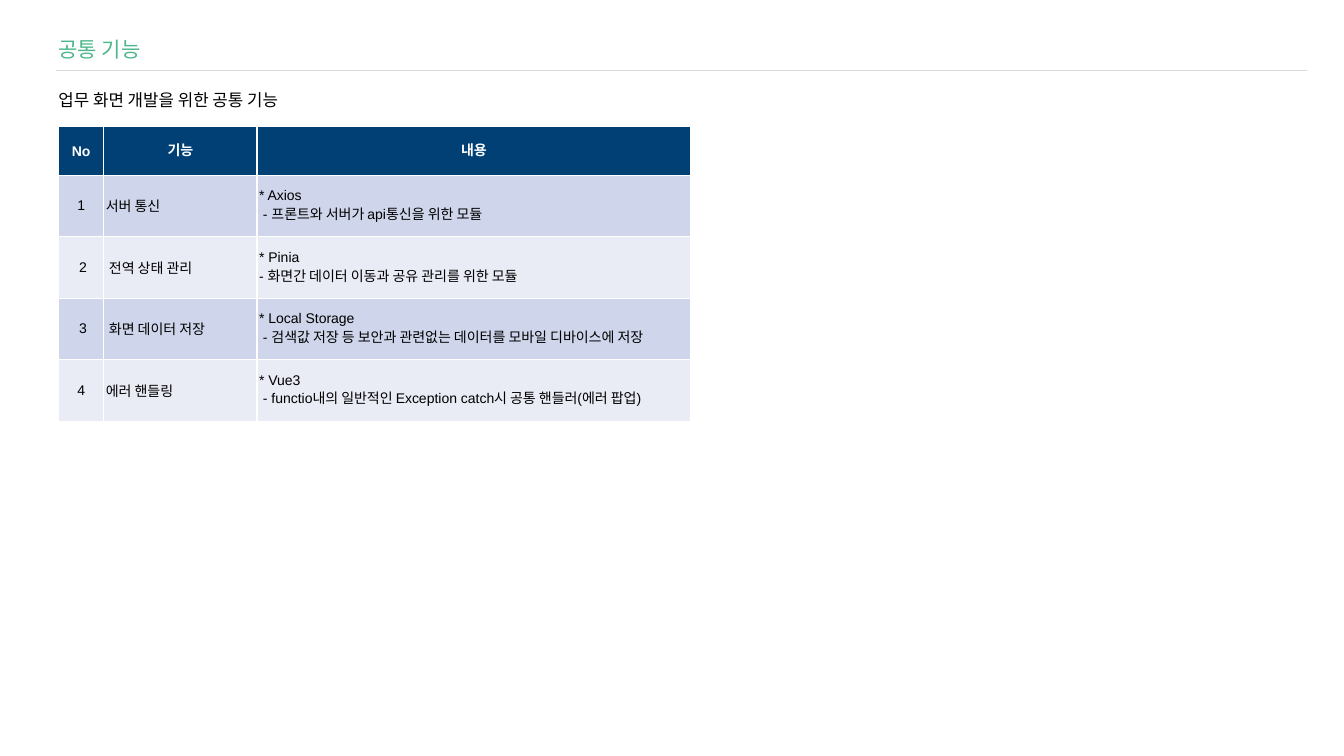
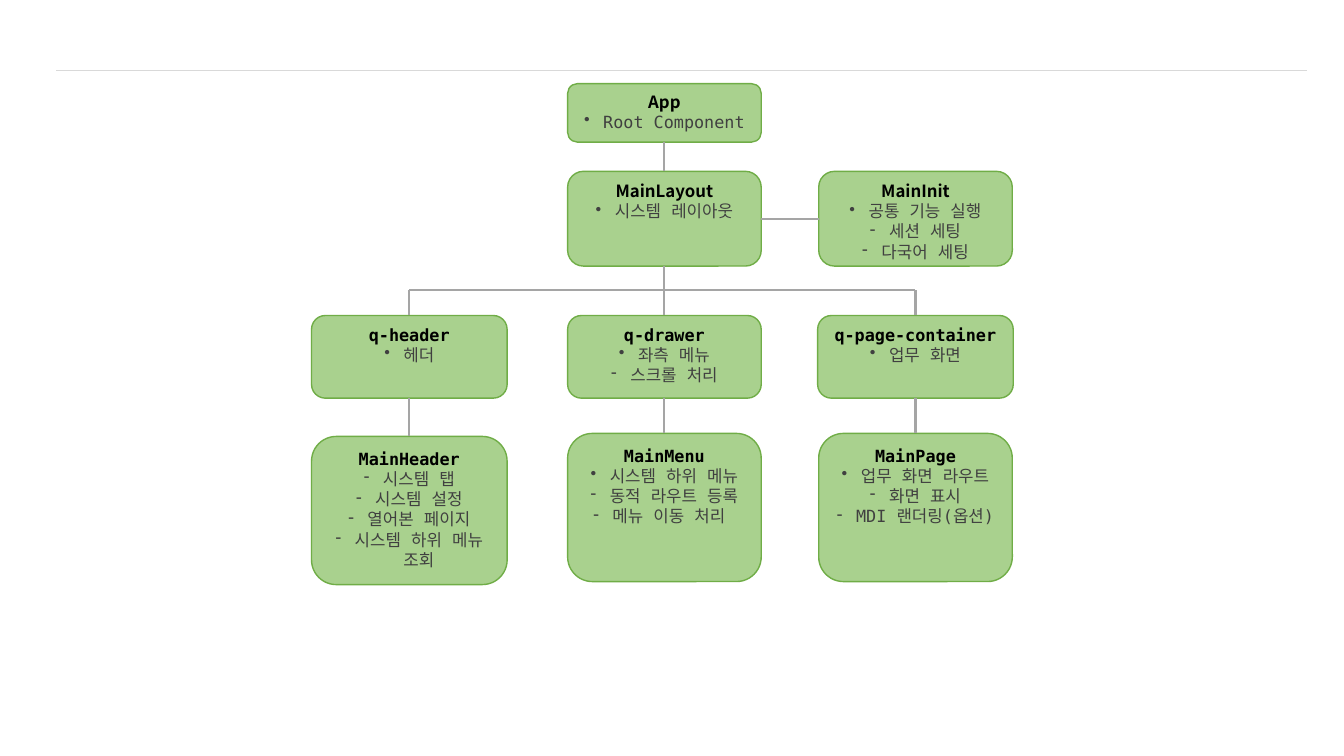
from pptx import Presentation
from pptx.dml.color import RGBColor
from pptx.enum.shapes import MSO_CONNECTOR, MSO_SHAPE
from pptx.enum.text import MSO_ANCHOR, MSO_AUTO_SIZE, PP_ALIGN
from pptx.oxml.ns import qn
from pptx.util import Inches, Pt
from lxml.etree import SubElement

SANS, KOREAN, MONO = "Arial", "Noto Sans CJK KR", "DejaVu Sans Mono"
BLACK, WHITE, GRAY = "000000", "FFFFFF", "404040"
GREEN, NAVY, RULE, LINK = "4CB78A", "004074", "D9D9D9", "A5A5A5"
BOX_FILL, BOX_LINE = "A9D18E", "70AD47"
BANDS = ["CFD5EA", "E9EBF5"]


def add_run(paragraph, text, size, color, font, bold=False):
    run = paragraph.add_run()
    run.text = text
    run.font.size = Pt(size)
    run.font.bold = bold
    run.font.name = font
    run.font.color.rgb = RGBColor.from_string(color)
    east_asian = SubElement(run.font._element, qn("a:ea"))
    east_asian.set("typeface", KOREAN if font == SANS else font)


def add_line(slide, x1, y1, x2, y2, color, width):
    line = slide.shapes.add_connector(
        MSO_CONNECTOR.STRAIGHT, Inches(x1), Inches(y1), Inches(x2), Inches(y2))
    line.line.color.rgb = RGBColor.from_string(color)
    line.line.width = Pt(width)
    SubElement(line._element.spPr, qn("a:effectLst"))


deck = Presentation()
deck.slide_width, deck.slide_height = Inches(13.33), Inches(7.5)
features, components = [deck.slides.add_slide(deck.slide_layouts[6]) for _ in range(2)]
for slide in (features, components):
    add_line(slide, 0.56, 0.7, 12.96, 0.7, RULE, 0.5)

headings = [
    ("공통 기능", 0.36, 0.92, 0.25, 15, GREEN),
    ("업무 화면 개발을 위한 공통 기능", 0.89, 2.49, 0.2, 12, BLACK),
]
for text, top, width, height, size, color in headings:
    heading = features.shapes.add_textbox(
        Inches(0.58), Inches(top), Inches(width), Inches(height)).text_frame
    heading.margin_left = heading.margin_right = 0
    heading.margin_top = heading.margin_bottom = 0
    heading.vertical_anchor = MSO_ANCHOR.MIDDLE
    heading.word_wrap = False
    heading.auto_size = MSO_AUTO_SIZE.SHAPE_TO_FIT_TEXT
    add_run(heading.paragraphs[0], text, size, color, SANS)

feature_rows = [
    ("No", "기능", "내용"),
    ("1", "서버 통신", "* Axios\n - 프론트와 서버가 api통신을 위한 모듈"),
    ("\u00a02", "\u00a0전역 상태 관리", "* Pinia\n- 화면간 데이터 이동과 공유 관리를 위한 모듈"),
    ("\u00a03", "\u00a0화면 데이터 저장",
     "* Local Storage\n - 검색값 저장 등 보안과 관련없는 데이터를 모바일 디바이스에 저장"),
    ("4", "에러 핸들링",
     "* Vue3\n - functio내의 일반적인 Exception catch시 공통 핸들러(에러 팝업)"),
]
feature_table = features.shapes.add_table(
    5, 3, Inches(0.58), Inches(1.25), Inches(6.27), Inches(2.95)).table
for column, width in zip(feature_table.columns, (0.45, 1.52, 4.3)):
    column.width = Inches(width)
for r, texts in enumerate(feature_rows):
    is_header = r == 0
    feature_table.rows[r].height = Inches(0.49 if is_header else 0.61)
    for c, text in enumerate(texts):
        cell = feature_table.cell(r, c)
        cell.fill.solid()
        cell.fill.fore_color.rgb = RGBColor.from_string(
            NAVY if is_header else BANDS[(r - 1) % 2])
        cell.vertical_anchor = MSO_ANCHOR.MIDDLE
        cell.margin_left = cell.margin_right = Inches(0.02)
        cell.margin_top = cell.margin_bottom = Inches(0.02)
        for i, part in enumerate(text.split("\n")):
            frame = cell.text_frame
            paragraph = frame.add_paragraph() if i else frame.paragraphs[0]
            paragraph.line_spacing = Pt(13) if is_header else 0.97
            if is_header or c == 0:
                paragraph.alignment = PP_ALIGN.CENTER
            elif c == 2:
                properties = paragraph._p.get_or_add_pPr()
                properties.set("marL", str(Inches(0.24)))
                properties.set("indent", str(Inches(-0.24)))
            add_run(paragraph, part, 10, WHITE if is_header else BLACK, SANS, is_header)

LEFT, MIDDLE, RIGHT = 4.06, 6.59, 9.08
tree = [
    (MIDDLE, 0.83, 1.92, 0.58, KOREAN, "App", ["•Root Component"]),
    (MIDDLE, 1.7, 1.92, 0.94, KOREAN, "MainLayout", ["•시스템 레이아웃"]),
    (RIGHT, 1.7, 1.92, 0.94, KOREAN, "MainInit", ["•공통 기능 실행", "-세션 세팅", "-다국어 세팅"]),
    (LEFT, 3.13, 1.94, 0.82, MONO, "q-header", ["•헤더"]),
    (MIDDLE, 3.13, 1.92, 0.82, MONO, "q-drawer", ["•좌측 메뉴", "-스크롤 처리"]),
    (RIGHT, 3.13, 1.94, 0.82, MONO, "q-page-container", ["•업무 화면"]),
    (LEFT, 4.33, 1.94, 1.47, MONO, "MainHeader",
     ["-시스템 탭", "-시스템 설정", "-열어본 페이지", "-시스템 하위 메뉴 조회"]),
    (MIDDLE, 4.3, 1.92, 1.47, MONO, "MainMenu",
     ["•시스템 하위 메뉴", "-동적 라우트 등록", "-메뉴 이동 처리 "]),
    (RIGHT, 4.3, 1.92, 1.47, MONO, "MainPage",
     ["•업무 화면 라우트", "-화면 표시", "-MDI 랜더링(옵션)"]),
]
for center, top, width, height, title_font, title, duties in tree:
    box = components.shapes.add_shape(
        MSO_SHAPE.ROUNDED_RECTANGLE, Inches(center - width / 2), Inches(top),
        Inches(width), Inches(height))
    box.shadow.inherit = False
    box.fill.solid()
    box.fill.fore_color.rgb = RGBColor.from_string(BOX_FILL)
    box.line.color.rgb = RGBColor.from_string(BOX_LINE)
    box.line.width = Pt(1)
    frame = box.text_frame
    frame.word_wrap = True
    frame.vertical_anchor = MSO_ANCHOR.TOP
    frame.paragraphs[0].alignment = PP_ALIGN.CENTER
    add_run(frame.paragraphs[0], title, 12, BLACK, title_font, True)
    for duty in duties:
        paragraph = frame.add_paragraph()
        paragraph.alignment = PP_ALIGN.CENTER
        properties = paragraph._p.get_or_add_pPr()
        properties.set("marL", str(Inches(0.19)))
        properties.set("indent", str(Inches(-0.19)))
        SubElement(properties, qn("a:buChar")).set("char", duty[0])
        add_run(paragraph, duty[1:], 12, GRAY, MONO)

BRANCH = 2.88
links = [
    (MIDDLE, 1.41, MIDDLE, 1.7),
    (MIDDLE, 2.64, MIDDLE, 3.13),
    (7.55, 2.17, 8.12, 2.17),
    (LEFT, BRANCH, RIGHT, BRANCH),
    (LEFT, BRANCH, LEFT, 3.13),
    (RIGHT, BRANCH, RIGHT, 3.13),
    (LEFT, 3.95, LEFT, 4.33),
    (MIDDLE, 3.95, MIDDLE, 4.3),
    (RIGHT, 3.95, RIGHT, 4.3),
]
for link in links:
    add_line(components, *link, LINK, 1.5)

deck.save("out.pptx")
